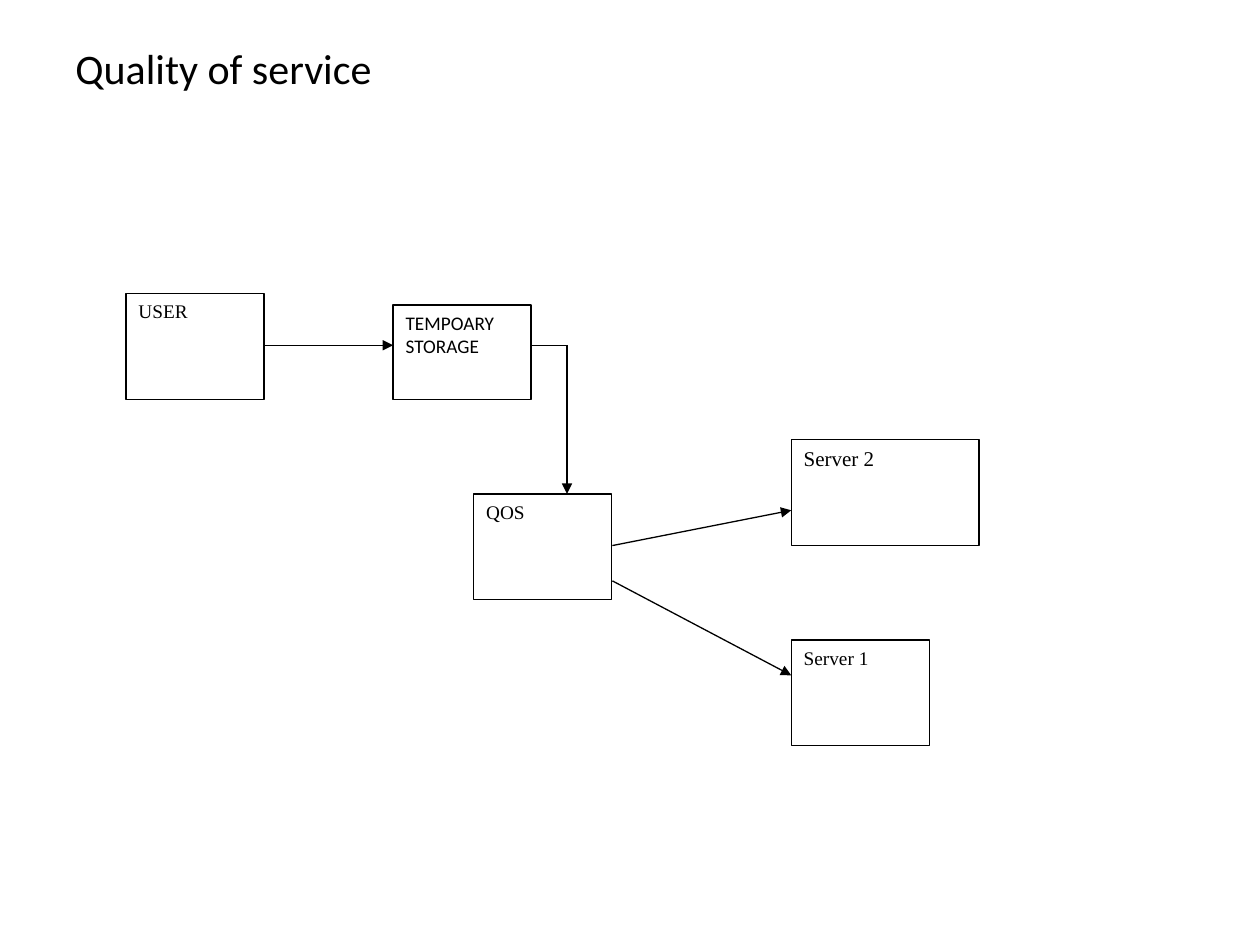
from lxml import etree
from pptx import Presentation
from pptx.dml.color import RGBColor
from pptx.enum.shapes import MSO_CONNECTOR, MSO_SHAPE
from pptx.enum.text import MSO_ANCHOR, PP_ALIGN
from pptx.oxml.ns import qn
from pptx.util import Inches, Pt

RECTANGLE = MSO_SHAPE.RECTANGLE
STRAIGHT = MSO_CONNECTOR.STRAIGHT
LEFT = PP_ALIGN.LEFT
TOP, MIDDLE = MSO_ANCHOR.TOP, MSO_ANCHOR.MIDDLE
COLORS = {"ink": "000000", "paper": "FFFFFF"}
SANS, SERIF = "Calibri", "Times New Roman"

presentation = Presentation()
presentation.slide_width = Inches(10)
presentation.slide_height = Inches(7.5)
slide = presentation.slides.add_slide(presentation.slide_layouts[6])

# Grid of 100 columns by 75 rows
COLUMN = presentation.slide_width / 100
ROW = presentation.slide_height / 75


def place(column, row):
    return round(column * COLUMN), round(row * ROW)


def write(shape, text, font_name, size, anchor):
    frame = shape.text_frame
    frame.word_wrap = True
    frame.vertical_anchor = anchor
    paragraph = frame.paragraphs[0]
    paragraph.text = text
    paragraph.alignment = LEFT
    paragraph.font.name = font_name
    paragraph.font.size = Pt(size)
    paragraph.font.color.rgb = RGBColor.from_string(COLORS["ink"])
    return paragraph


# Title
title = slide.shapes.add_textbox(*place(5, 0), *place(90, 10.8))
write(title, "Quality of service", SANS, 24, MIDDLE)

# Boxes: text, left, top, width, height, font, size
diagram = slide.shapes.add_group_shape()
BOX_WIDTH, BOX_HEIGHT = 10.95, 8.4
boxes = [
    ("USER", 10, 23.3, BOX_WIDTH, BOX_HEIGHT, SERIF, 11),
    ("TEMPOARY STORAGE", 31.2, 24.2, BOX_WIDTH, 7.5, SANS, 11),
    ("QOS", 37.6, 39.2, BOX_WIDTH, BOX_HEIGHT, SERIF, 11),
    ("Server 1", 62.8, 50.8, BOX_WIDTH, BOX_HEIGHT, SERIF, 11),
    ("Server 2", 62.8, 34.9, 14.9, BOX_HEIGHT, SERIF, 12),
]
for text, left, top, width, height, font_name, size in boxes:
    box = diagram.shapes.add_shape(RECTANGLE, *place(left, top), *place(width, height))
    box.shadow.inherit = False
    box.fill.solid()
    box.fill.fore_color.rgb = RGBColor.from_string(COLORS["paper"])
    box.line.color.rgb = RGBColor.from_string(COLORS["ink"])
    box.line.width = Pt(0.75)
    write(box, text, font_name, size, TOP).space_after = Pt(10)

# Links: start, end, arrowhead at the end
links = [
    ((20.9, 27.4), (31.2, 27.4), True),  # user to storage
    ((42.2, 27.4), (45, 27.4), False),  # storage to the bend
    ((45, 27.4), (45, 39.2), True),  # bend to QOS
    ((48.6, 43.3), (62.8, 40.5), True),  # QOS to server 2
    ((48.6, 46.1), (62.8, 53.6), True),  # QOS to server 1
]
for start, end, has_arrow in links:
    link = diagram.shapes.add_connector(STRAIGHT, *place(*start), *place(*end))
    link.line.color.rgb = RGBColor.from_string(COLORS["ink"])
    link.line.width = Pt(0.75)
    if has_arrow:
        etree.SubElement(link.line._get_or_add_ln(), qn("a:tailEnd"), type="triangle")
    etree.SubElement(link._element.spPr, qn("a:effectLst"))

presentation.save("out.pptx")
